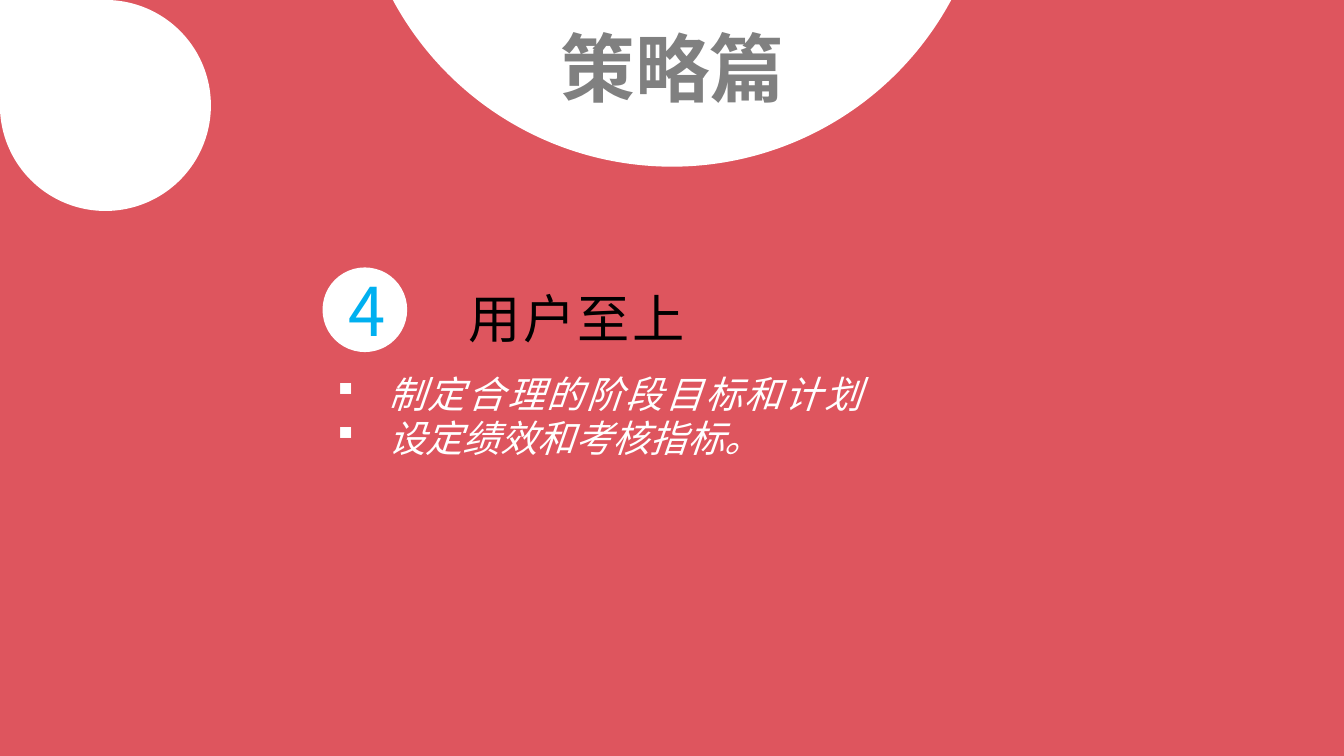
from lxml import etree
from pptx import Presentation
from pptx.dml.color import RGBColor
from pptx.enum.shapes import MSO_SHAPE
from pptx.enum.text import MSO_ANCHOR, MSO_AUTO_SIZE, PP_ALIGN
from pptx.oxml.ns import qn
from pptx.util import Inches, Pt

CENTER = PP_ALIGN.CENTER
MIDDLE, TOP = MSO_ANCHOR.MIDDLE, MSO_ANCHOR.TOP
FIT, FIXED = MSO_AUTO_SIZE.SHAPE_TO_FIT_TEXT, MSO_AUTO_SIZE.NONE
RECT, OVAL = MSO_SHAPE.RECTANGLE, MSO_SHAPE.OVAL
TEAR, DISC = MSO_SHAPE.TEAR, MSO_SHAPE.FLOWCHART_CONNECTOR

WIDTH = 10
HEIGHT = WIDTH * 9 / 16
THEME = {
    "font": "Noto Sans CJK SC", "bullet": "Wingdings",
    "red": "DE555E", "white": "FFFFFF", "black": "000000",
    "gray": "808080", "blue": "00B0F0",
    "title": 40, "number": 36, "head": 28, "body": 20,
}

TITLE = "策略篇"
NUMBER = "4"
HEAD = "用户至上"
POINTS = [("制定合理的阶段目标和计划", 1.2), ("设定绩效和考核指标。", 0)]  # text, tracking


def color(name):
    return RGBColor.from_string(THEME[name])


def add_form(kind, box, fill):
    form = slide.shapes.add_shape(kind, *map(Inches, box))
    form.shadow.inherit = False
    form.fill.solid()
    form.fill.fore_color.rgb = color(fill)
    form.line.fill.background()
    return form


def add_box(box, wrap):
    frame = slide.shapes.add_textbox(*map(Inches, box)).text_frame
    frame.word_wrap = wrap
    frame.auto_size = FIT
    frame.vertical_anchor = TOP
    return frame


def add_run(para, text, size, ink, track=0, bold=False, italic=False):
    run = para.add_run()
    run.text = text
    font = run.font
    font.size = Pt(THEME[size])
    font.bold, font.italic = bold, italic
    font.color.rgb = color(ink)
    font.name = THEME["font"]
    props = run._r.get_or_add_rPr()
    props.set("spc", str(round(track * 100)))
    etree.SubElement(props, qn("a:ea")).set("typeface", THEME["font"])


def add_bullet(para, indent):
    """Hang a small square, which is the section sign in the bullet font."""
    props = para._p.get_or_add_pPr()
    props.set("marL", str(Inches(indent)))
    props.set("indent", str(-Inches(indent)))
    font = etree.SubElement(props, qn("a:buFont"))
    font.set("typeface", THEME["bullet"])
    font.set("charset", "2")
    etree.SubElement(props, qn("a:buChar")).set("char", "§")


deck = Presentation()
deck.slide_width, deck.slide_height = Inches(WIDTH), Inches(HEIGHT)
slide = deck.slides.add_slide(deck.slide_layouts[5])

add_form(RECT, (0, 0, WIDTH, HEIGHT), "red")

head = add_box((3.37, 2.08, 1.84, 0.57), wrap=False).paragraphs[0]
head.alignment = CENTER
add_run(head, HEAD, "head", "black", track=1.2)

body = add_box((2.41, 2.71, 6.01, 0.77), wrap=True)
for i, (text, track) in enumerate(POINTS):
    para = body.add_paragraph() if i else body.paragraphs[0]
    add_bullet(para, 0.38)
    add_run(para, text, "body", "white", track, italic=True)

drop = add_form(TEAR, (0, 0, 1.57, 1.57), "white")
drop._element.spPr.xfrm.set("flipH", "1")

disc = 4.72
add_form(DISC, ((WIDTH - disc) / 2, -3.48, disc, disc), "white")

title = slide.shapes.title
title.left, title.top, title.width, title.height = map(Inches, (3.39, 0.1, 3.23, 0.79))
title.text_frame.auto_size = FIXED
title.text_frame.vertical_anchor = MIDDLE
para = title.text_frame.paragraphs[0]
para.alignment = CENTER
add_run(para, TITLE, "title", "gray", bold=True)
slide.shapes._spTree.append(title._element)  # bring in front of the disc

badge = add_form(OVAL, (2.4, 1.99, 0.63, 0.63), "white").text_frame
badge.word_wrap = True
badge.vertical_anchor = MIDDLE
badge.paragraphs[0].alignment = CENTER
add_run(badge.paragraphs[0], NUMBER, "number", "blue")

deck.save("out.pptx")
